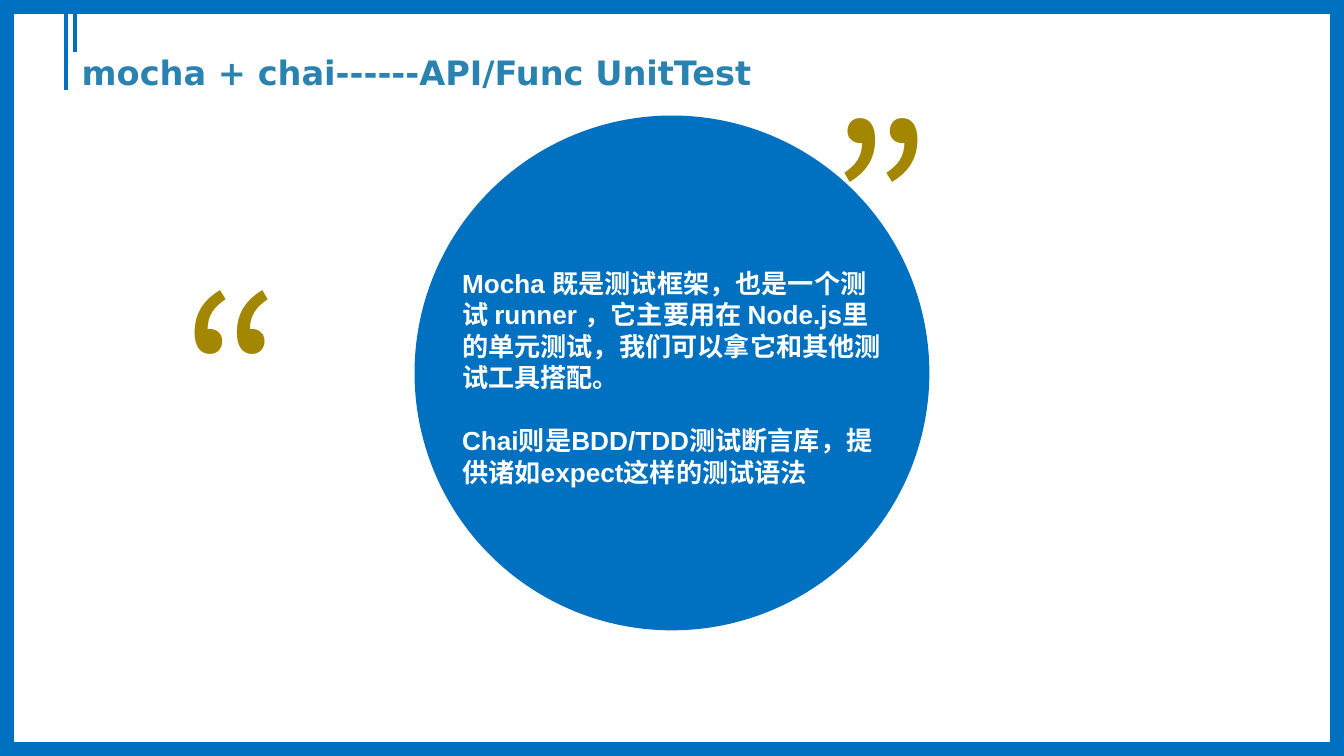
from lxml import etree
from pptx import Presentation
from pptx.dml.color import RGBColor
from pptx.enum import shapes, text
from pptx.oxml.ns import qn
from pptx.util import Pt

BLUE = RGBColor(0x00, 0x70, 0xC0)
TITLE_BLUE = RGBColor(0x2A, 0x82, 0xB0)
GOLD = RGBColor(0xA4, 0x87, 0x00)
WHITE = RGBColor(0xFF, 0xFF, 0xFF)

# Content
WIDTH, HEIGHT = 720, 405
TITLE = "mocha + chai------API/Func UnitTest"
DEFINITIONS = [
    "Mocha 既是测试框架，也是一个测试 runner ，它主要用在 Node.js里的单元测试，我们可以拿它和其他测试工具搭配。",
    "Chai则是BDD/TDD测试断言库，提供诸如expect这样的测试语法",
]
TITLE_BARS = [(35.3, 48.2), (40.3, 28.1)]  # x, length
QUOTE_SIZE = (123.8, 146.9)
QUOTES = [(90, 126.7, 0), (382.4, -20.2, 180)]  # left, top, rotation
CIRCLE_DIAMETER = 275.8
CIRCLE_TOP = 61.9
LINE_HEIGHT = 17


def add_text(slide, box, paragraphs, font, size, color, bold=False, gap=0):
    shape = slide.shapes.add_textbox(*map(Pt, box))
    frame = shape.text_frame
    frame.word_wrap = True
    frame.text = "\n".join(paragraphs)
    for index, paragraph in enumerate(frame.paragraphs):
        paragraph.space_before = Pt(gap if index else 0)
        for run in paragraph.runs:
            run.font.name = font
            run.font.size = Pt(size)
            run.font.bold = bold
            run.font.color.rgb = color
            east_asian = etree.SubElement(run.font._element, qn("a:ea"))
            east_asian.set("typeface", "Noto Sans CJK JP")
    return shape


def add_filled(slide, kind, box):
    shape = slide.shapes.add_shape(kind, *map(Pt, box))
    shape.shadow.inherit = False
    shape.fill.solid()
    shape.fill.fore_color.rgb = BLUE
    shape.line.fill.background()
    return shape


presentation = Presentation()
presentation.slide_width, presentation.slide_height = Pt(WIDTH), Pt(HEIGHT)
slide = presentation.slides.add_slide(presentation.slide_layouts[6])

# Title and the bars beside it
title = add_text(slide, (36.7, 24.5, 648, 28.8), [TITLE],
                 "DejaVu Sans", 18, TITLE_BLUE, bold=True)
title.text_frame.vertical_anchor = text.MSO_ANCHOR.MIDDLE
for x, length in TITLE_BARS:
    bar = slide.shapes.add_connector(
        shapes.MSO_CONNECTOR.STRAIGHT, Pt(x), 0, Pt(x), Pt(length))
    bar.line.color.rgb = BLUE
    bar.line.width = Pt(2.25)
    etree.SubElement(bar._element.spPr, qn("a:effectLst"))

# Circle with the definitions
add_filled(slide, shapes.MSO_SHAPE.OVAL,
           ((WIDTH - CIRCLE_DIAMETER) / 2, CIRCLE_TOP,
            CIRCLE_DIAMETER, CIRCLE_DIAMETER))
add_text(slide, (240.5, 139.7, 240.5, 126), DEFINITIONS,
         "Arial", 14, WHITE, bold=True, gap=LINE_HEIGHT)

# Quotation marks, the closing one turned upside down
for left, top, rotation in QUOTES:
    quote = add_text(slide, (left, top, *QUOTE_SIZE), ["“"],
                     "Noto Sans CJK JP", 115, GOLD)
    quote.rotation = rotation

# Slide border
border = add_filled(slide, shapes.MSO_SHAPE.FRAME, (0, 0, WIDTH, HEIGHT))
border.adjustments[0] = 0.016
border.line.color.rgb = BLUE
border.line.width = Pt(2)

presentation.save("out.pptx")
